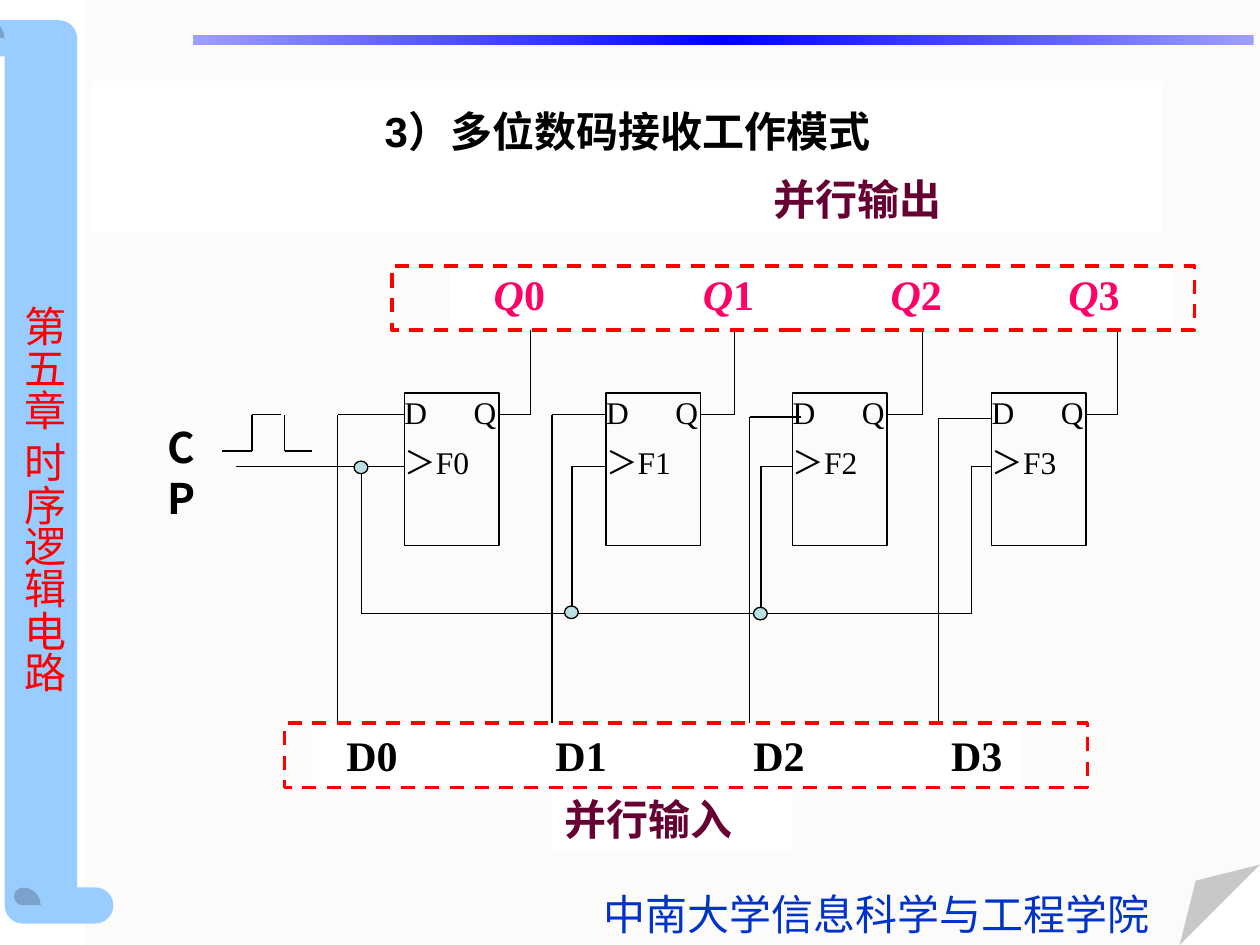
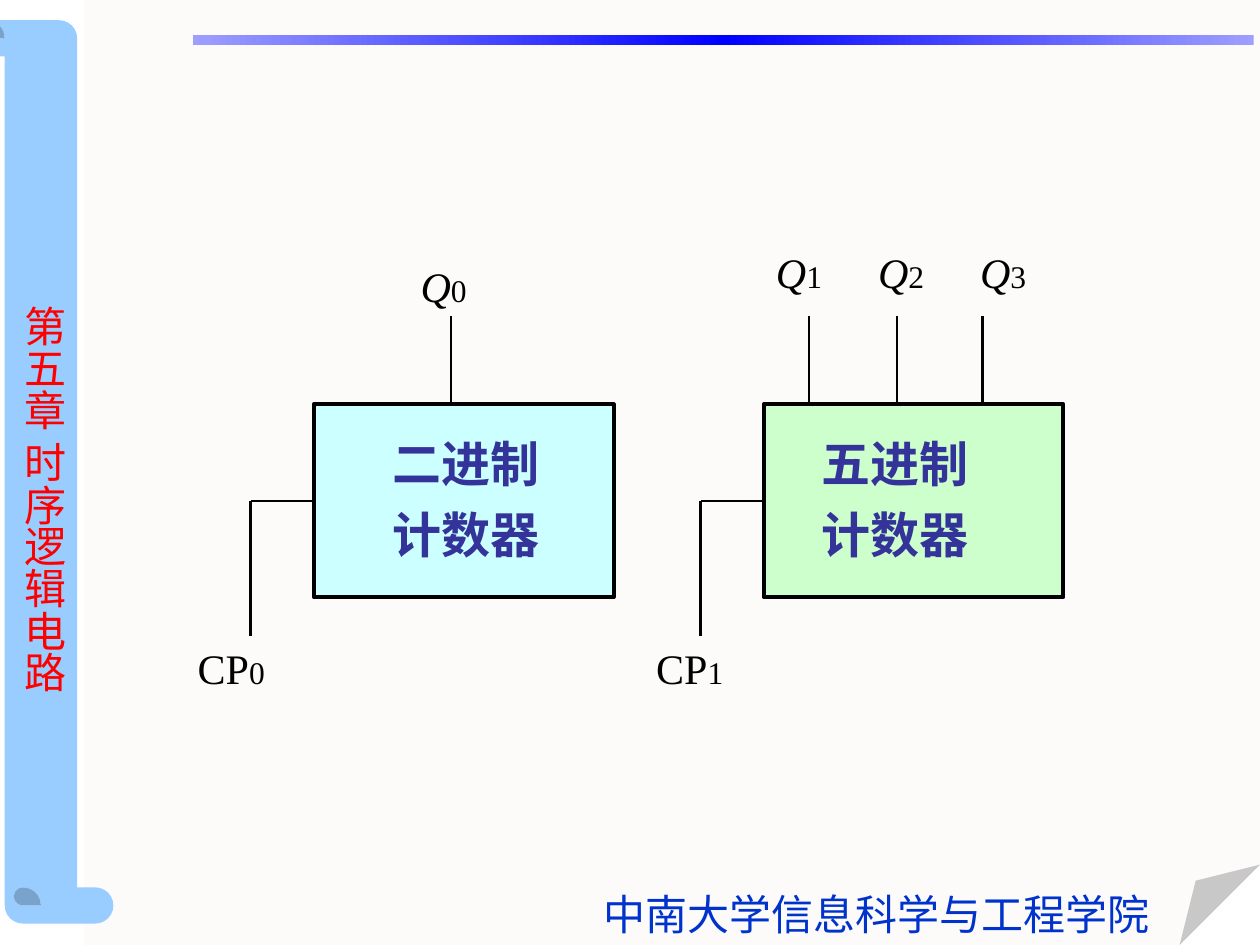
from collections import namedtuple
from copy import deepcopy

from lxml.etree import SubElement
from pptx import Presentation
from pptx.dml.color import RGBColor
from pptx.enum.dml import MSO_LINE_DASH_STYLE as Dash
from pptx.enum.shapes import MSO_CONNECTOR as Connector, MSO_SHAPE as Shape
from pptx.enum.text import MSO_ANCHOR as Anchor, PP_ALIGN as Align
from pptx.oxml.ns import qn
from pptx.util import Inches, Pt

COLORS = {
    "white": "FFFFFF", "black": "000000", "paper": "FCFBFA", "scroll": "99CCFF",
    "band": "0000FF", "band_end": "9E9EFF", "footer": "0033CC", "chapter": "FF0000",
    "output": "FF0066", "caption": "660033", "frame": "FF0000", "node": "BBE0E3",
    "counter": "333399", "binary": "CCFFFF", "quinary": "CCFFCC",
}
SERIF, SANS, HEADING = "Times New Roman", "Noto Sans CJK SC", "Arial"
SIDE_LEFT = 1

Stage = namedtuple("Stage", "left data_x data_y data_end clock_x output_x")
STAGES = [
    Stage(3.21, 2.68, 3.29, 3.21, 2.87, 4.21),
    Stage(4.81, 4.38, 3.29, 4.81, 4.54, 5.83),
    Stage(6.29, 5.95, 3.31, 6.36, 6.04, 7.32),
    Stage(7.87, 7.45, 3.32, 7.87, 7.71, 8.87),
]
STAGE_TOP, STAGE_WIDTH, STAGE_HEIGHT = 3.12, 0.75, 1.21
OUTPUT_Y, CLOCK_Y, BUS_Y = 3.29, 3.7, 4.87
OUTPUT_FRAME = (3.11, 2.11, 6.37, 0.51)
INPUT_FRAME = (2.26, 5.74, 6.37, 0.51)


def rgb(name):
    """Return the named colour."""
    return RGBColor.from_string(COLORS[name])


def add_box(slide, box, fill=None, line=None, width=0.75, kind=Shape.RECTANGLE):
    """Add a preset shape with an optional fill and outline."""
    shape = slide.shapes.add_shape(kind, *map(Inches, box))
    shape.shadow.inherit = False
    if fill:
        shape.fill.solid()
        shape.fill.fore_color.rgb = rgb(fill)
    else:
        shape.fill.background()
    if line:
        shape.line.color.rgb = rgb(line)
        shape.line.width = Pt(width)
    else:
        shape.line.fill.background()
    return shape


def set_adjustment(shape, value):
    """Set the single adjustment of a preset shape."""
    guides = shape._element.spPr.find(qn("a:prstGeom")).get_or_add_avLst()
    for guide in list(guides):
        guides.remove(guide)
    SubElement(guides, qn("a:gd"), name="adj", fmla=f"val {round(value * 100000)}")


def add_line(slide, start, end, width=0.75):
    """Add a straight black line between two points."""
    line = slide.shapes.add_connector(Connector.STRAIGHT, *map(Inches, start + end))
    line.line.color.rgb = rgb("black")
    line.line.width = Pt(width)
    SubElement(line._element.spPr, qn("a:effectLst"))
    return line


def add_path(slide, points, width=0.75):
    """Join consecutive points with lines."""
    for start, end in zip(points, points[1:]):
        add_line(slide, start, end, width)


def set_tabs(paragraph, stops):
    """Give a paragraph left tab stops in inches."""
    tab_list = SubElement(paragraph._p.get_or_add_pPr(), qn("a:tabLst"))
    for stop in stops:
        SubElement(tab_list, qn("a:tab"), pos=str(Inches(stop)), algn="l")


def write(shape, lines, size=24, color="black", font=SERIF, bold=False,
          tabs=(), align=Align.LEFT, wrap=True):
    """Write lines made of (text, overrides) runs into a shape."""
    frame = shape.text_frame
    frame.word_wrap = wrap
    frame.vertical_anchor = Anchor.TOP
    for index, runs in enumerate(lines):
        paragraph = frame.add_paragraph() if index else frame.paragraphs[0]
        if tabs:
            set_tabs(paragraph, tabs)
        paragraph.alignment = align
        if index:
            paragraph.space_before = Pt(7)
        for text, style in runs:
            run = paragraph.add_run()
            run.text = text
            run.font.name = font
            run.font.size = Pt(style.get("size", size))
            run.font.bold = bold
            run.font.italic = style.get("italic", False)
            run.font.color.rgb = rgb(color)
            SubElement(run._r.get_or_add_rPr(), qn("a:ea"), typeface=SANS)
    return frame


def add_text(slide, box, lines, **style):
    """Add a text box."""
    shape = slide.shapes.add_textbox(*map(Inches, box))
    return write(shape, lines, **style)


def add_band(slide, box):
    """Add the horizontal band that fades towards both ends."""
    band = add_box(slide, box)
    band.fill.gradient()
    band.fill.gradient_angle = 0
    first = band._element.spPr.find(".//" + qn("a:gs"))
    first.addnext(deepcopy(first))
    stops = zip(band.fill.gradient_stops, (0, 0.5, 1), ("band_end", "band", "band_end"))
    for stop, position, color in stops:
        stop.position = position
        stop.color.rgb = rgb(color)


def add_themed_slide(presentation):
    """Add a slide with the page, scroll, band, chapter name and footer."""
    slide = presentation.slides.add_slide(presentation.slide_layouts[6])
    slide.background.fill.solid()
    slide.background.fill.fore_color.rgb = rgb("white")
    page = add_box(slide, (0.67, 0, 9.33, 7.5), "paper", kind=Shape.FOLDED_CORNER)
    set_adjustment(page, 0.085)
    scroll = add_box(slide, (-3.26, 3.17, 7.17, 1.15), "scroll", kind=Shape.HORIZONTAL_SCROLL)
    set_adjustment(scroll, 0.25)
    scroll.rotation = 270
    add_band(slide, (1.53, 0.28, 8.42, 0.08))
    add_text(slide, (4.69, 7, 4.53, 0.5), [[("中南大学信息科学与工程学院", {})]],
             color="footer", wrap=False)
    chapter = add_text(slide, (0, 2.33, 0.6, 3.27), [[("第五章 时序逻辑电路", {})]],
                       color="chapter", font=SANS, wrap=False)
    chapter._txBody.bodyPr.set("vert", "eaVert")
    return slide


def add_title(slide, box, text):
    """Add the centred slide title on a white panel."""
    frame = write(add_box(slide, box, "white"), [[(text, {})]],
                  font=HEADING, bold=True, align=Align.CENTER)
    frame.vertical_anchor = Anchor.MIDDLE
    frame.margin_bottom = Inches(0.46)


def add_flip_flop(slide, box, number):
    """Add one D flip-flop block with its pin names."""
    lines = [[("D\tQ", {})], [(f"＞F{number}", {})]]
    frame = write(add_box(slide, box, line="black"), lines, size=18, tabs=[0.55])
    frame.margin_left = frame.margin_right = frame.margin_top = frame.margin_bottom = 0


def add_stage(slide, stage, number):
    """Add one register stage with its data, clock and output wires."""
    right = stage.left + STAGE_WIDTH
    output_bottom = OUTPUT_FRAME[1] + OUTPUT_FRAME[3]
    add_flip_flop(slide, (stage.left, STAGE_TOP, STAGE_WIDTH, STAGE_HEIGHT), number)
    add_path(slide, [(stage.data_x, INPUT_FRAME[1]), (stage.data_x, stage.data_y),
                     (stage.data_end, stage.data_y)])
    add_path(slide, [(stage.left, CLOCK_Y), (stage.clock_x, CLOCK_Y), (stage.clock_x, BUS_Y)])
    add_path(slide, [(right, OUTPUT_Y), (stage.output_x, OUTPUT_Y),
                     (stage.output_x, output_bottom)])


def add_clock(slide, left, top):
    """Add the clock label, its pulse and the shared clock line."""
    add_text(slide, (left, top, 0.53, 0.5), [[("CP", {})]], font=SANS, bold=True)
    low, high = top + 0.28, top - 0.01
    rise, fall = left + 0.77, left + 1.03
    add_path(slide, [(left + 0.53, low), (rise, low), (rise, high)])
    add_line(slide, (rise, high), (fall - 0.03, high))
    add_path(slide, [(fall, high), (fall, low), (fall + 0.22, low)])
    add_line(slide, (left + 0.64, CLOCK_Y), (STAGES[0].clock_x, CLOCK_Y))
    add_line(slide, (STAGES[0].clock_x, BUS_Y), (STAGES[-1].clock_x, BUS_Y))
    for x, y in [(2.81, 3.66), (4.48, 4.81), (5.98, 4.82)]:
        add_box(slide, (x, y, 0.11, 0.1), "node", "black", kind=Shape.OVAL)


def add_signal_row(slide, box, letter, tabs, **style):
    """Add a white strip naming four signals at tab stops."""
    italic = {"italic": letter == "Q"}
    runs = [run for number in range(len(STAGES))
            for run in (("\t" + letter, italic), (str(number), {}))]
    write(add_box(slide, box, "white"), [runs], bold=True, tabs=tabs, **style)


def add_caption(slide, box, text):
    """Add a bold caption on white."""
    write(add_box(slide, box, "white"), [[(text, {})]], color="caption", bold=True)


def build_register_slide(presentation):
    """Build the parallel register slide."""
    slide = add_themed_slide(presentation)
    add_title(slide, (0.73, 0.64, 8.5, 1.21), "3）多位数码接收工作模式")
    for number, stage in enumerate(STAGES):
        add_stage(slide, stage, number)
    add_clock(slide, 1.23, 3.3)
    add_signal_row(slide, (2.48, 5.74, 5.62, 0.5), "D", [0.17, 1.83, 3.4, 4.97])
    add_signal_row(slide, (3.58, 2.08, 5.72, 0.5), "Q", [0.24, 1.9, 3.39, 4.8],
                   color="output")
    add_caption(slide, (4.38, 6.25, 1.91, 0.5), "并行输入")
    add_caption(slide, (6.04, 1.33, 1.67, 0.5), "并行输出")
    for box in (INPUT_FRAME, OUTPUT_FRAME):
        frame = add_box(slide, box, line="frame", width=2)
        frame.line.dash_style = Dash.DASH


def add_signal(slide, left, top, letter, number):
    """Add a signal name followed by its smaller number."""
    runs = [(letter, {"italic": letter == "Q"}), (str(number), {"size": 18})]
    add_text(slide, (left, top, 1.21, 0.5), [runs])


def add_counter(slide, box, fill, name, name_left, clock, outputs):
    """Add a counter block with its clock input and numbered outputs."""
    left, top, width, height = box
    block = add_box(slide, box, fill, "black", 2.25)
    add_text(slide, (left + name_left, top + 0.18, 1.72, 1.27),
             [[(name, {})], [("计数器", {})]], size=28, color="counter", bold=True)
    clock_number, clock_left = clock
    corner = (left - 0.5, top + height / 2)
    wire = add_line(slide, (left, corner[1]), corner, 1.5)
    wire.begin_connect(block, SIDE_LEFT)
    add_line(slide, corner, (corner[0], top + 1.84), 1.5)
    add_signal(slide, left + clock_left, top + 1.84, "CP", clock_number)
    for number, wire_x, label_x, label_y in outputs:
        add_line(slide, (left + wire_x, top), (left + wire_x, top - 0.7), 1.5)
        add_signal(slide, left + label_x, top + label_y, "Q", number)


def build_counter_slide(presentation):
    """Build the binary and quinary counter slide."""
    slide = add_themed_slide(presentation)
    add_counter(slide, (2.49, 3.21, 2.38, 1.53), "binary", "二进制", 0.53,
                (0, -1.02), [(0, 1.09, 0.75, -1.19)])
    outputs = [(number, wire_x, 0.81 * index, -1.3)
               for index, (number, wire_x) in enumerate([(1, 0.36), (2, 1.06), (3, 1.74)])]
    add_counter(slide, (6.06, 3.21, 2.38, 1.53), "quinary", "五进制", 0.36,
                (1, -0.95), outputs)


def main():
    """Build and save the presentation."""
    presentation = Presentation()
    presentation.slide_width = Inches(10)
    presentation.slide_height = Inches(7.5)
    build_register_slide(presentation)
    build_counter_slide(presentation)
    presentation.save("out.pptx")


if __name__ == "__main__":
    main()
